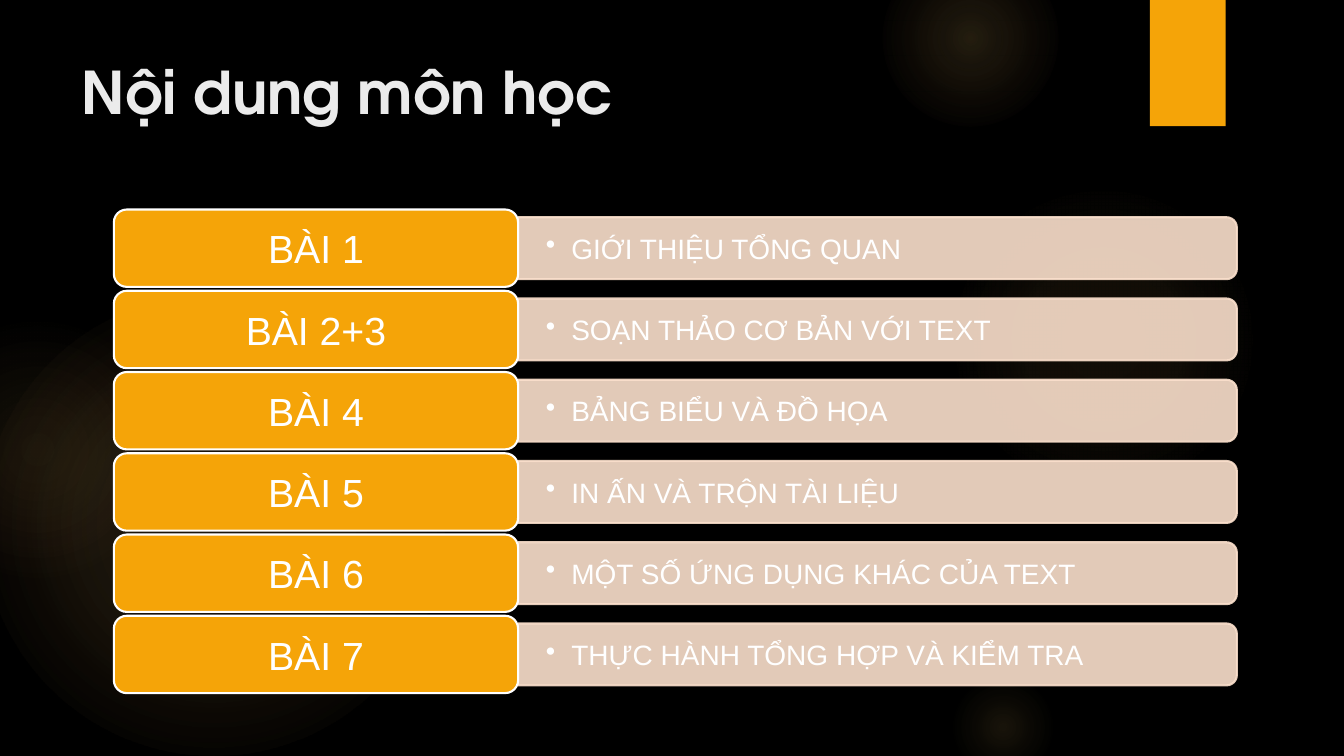
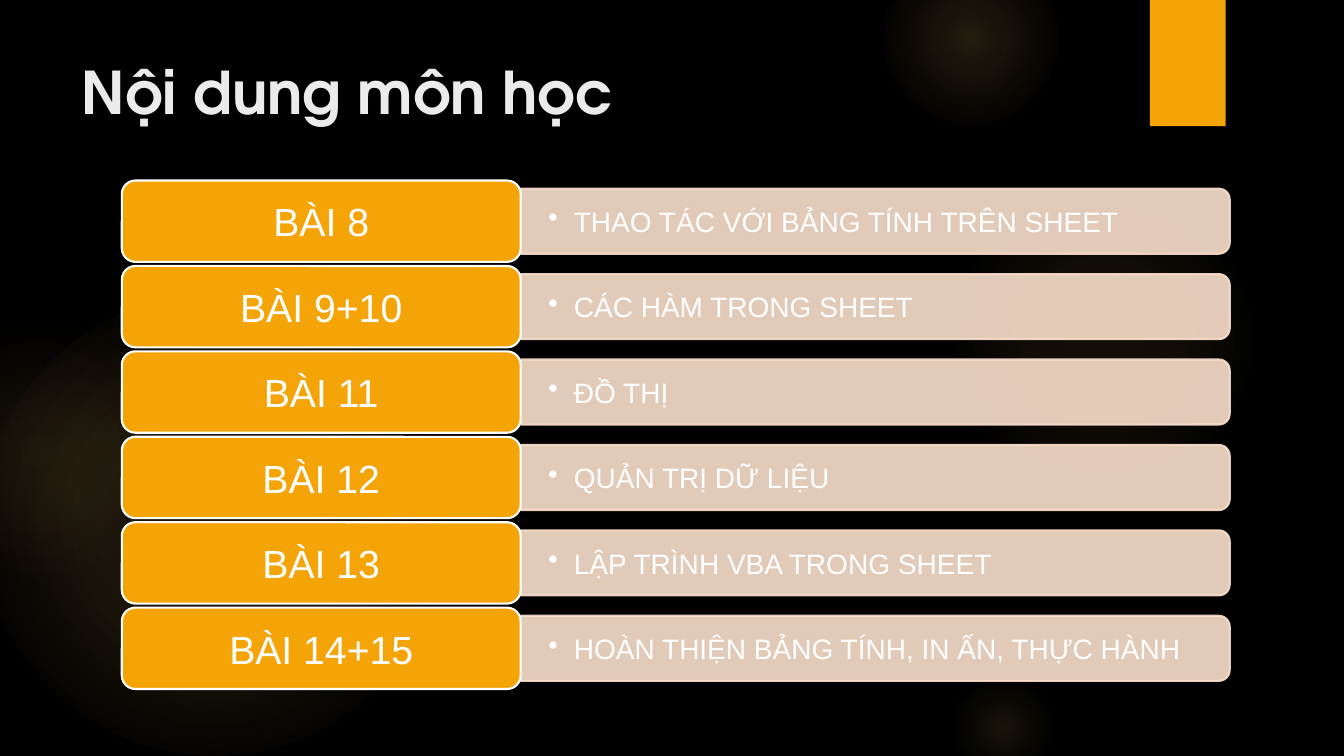
from pptx import Presentation
from pptx import oxml
from pptx import util as u
from pptx.dml.color import RGBColor
from pptx.enum import shapes, text
from pptx.oxml import ns

COLORS = {
    "background": "000000",
    "accent": "F5A408",
    "bar": "FBE0CC",
    "title": "EBEBEB",
    "white": "FFFFFF",
    "glow": "FAC96A",
    "glow_edge": "F59B74",
}
TITLE_FONT, BODY_FONT = "TeX Gyre Adventor", "Arial"
TITLE_ONLY = 5

# Glows: left, top, diameter (cm), then stops of position %, colour, opacity %
GLOWS = [
    (-0.43, 7.42, 11.63, [(0, "glow", 11), (36, "glow", 10), (75, "glow", 0)]),
    (-2.34, 8.05, 6.55, [(0, "glow", 8), (36, "glow", 5), (71, "glow_edge", 0)]),
    (23.9, 4.65, 7.82, [(0, "glow", 7), (36, "glow", 6), (69, "glow", 0)]),
    (22.23, -1.27, 4.45, [(0, "glow", 14), (36, "glow", 7), (73, "glow", 0)]),
    (23.9, 16.94, 2.74, [(0, "glow", 10), (31, "glow", 5), (66, "glow", 0)]),
]


class Deck:
    """Holds the shared style and the slide being drawn."""

    def __init__(self):
        self.presentation = Presentation()
        self.presentation.slide_width = u.Cm(33.87)
        self.presentation.slide_height = u.Cm(19.05)
        self.layout = self.presentation.slide_layouts[TITLE_ONLY]
        self.slide = None

    def color(self, name):
        return RGBColor.from_string(COLORS[name])

    def new_slide(self, title):
        self.slide = self.presentation.slides.add_slide(self.layout)
        if len(self.presentation.slides) == 1:
            self.decorate_layout()
        self.title(title)

    def decorate_layout(self):
        """Paint the background and ornaments once, on the layout."""
        fill = self.layout.background.fill
        fill.solid()
        fill.fore_color.rgb = self.color("background")
        for placeholder in list(self.layout.placeholders):
            if placeholder.placeholder_format.idx != 0:
                self.layout.shapes.element.remove(placeholder.element)
        ornaments = [self.glow(*glow) for glow in GLOWS]
        ornaments.append(self.box(shapes.MSO_SHAPE.RECTANGLE, 28.98, 0, 1.91, 3.18, "accent"))
        for position, ornament in enumerate(ornaments, start=2):
            self.layout.shapes.element.insert(position, ornament.element)

    def title(self, wording):
        shape = self.slide.shapes.title
        shape.left, shape.top = u.Cm(1.8), u.Cm(1.27)
        shape.width, shape.height = u.Cm(26.14), u.Cm(3.89)
        shape.text_frame.auto_size = text.MSO_AUTO_SIZE.NONE
        shape.text_frame.vertical_anchor = text.MSO_ANCHOR.TOP
        paragraph = self.set_text(shape, wording, TITLE_FONT, 42, "title", text.PP_ALIGN.LEFT)
        paragraph.font.bold = True

    def box(self, kind, left, top, width, height, fill, line=None):
        shape = self.slide.shapes.add_shape(
            kind, u.Cm(left), u.Cm(top), u.Cm(width), u.Cm(height))
        shape.shadow.inherit = False
        shape.fill.solid()
        shape.fill.fore_color.rgb = self.color(fill)
        if line:
            shape.line.color.rgb = self.color(line)
            shape.line.width = u.Pt(1.5)
        else:
            shape.line.fill.background()
        return shape

    def glow(self, left, top, diameter, stops):
        shape = self.box(shapes.MSO_SHAPE.OVAL, left, top, diameter, diameter, "glow")
        stop_xml = "".join(
            f'<a:gs pos="{position * 1000}"><a:srgbClr val="{COLORS[name]}">'
            f'<a:alpha val="{opacity * 1000}"/></a:srgbClr></a:gs>'
            for position, name, opacity in stops)
        gradient = oxml.parse_xml(
            f'<a:gradFill {ns.nsdecls("a")}><a:gsLst>{stop_xml}</a:gsLst><a:path path="circle">'
            '<a:fillToRect l="50000" t="50000" r="50000" b="50000"/></a:path></a:gradFill>')
        properties = shape.element.spPr
        properties.replace(properties.find(ns.qn("a:solidFill")), gradient)
        return shape

    def set_text(self, shape, wording, font, size, color, align, bullet=False):
        shape.text_frame.text = wording
        paragraph = shape.text_frame.paragraphs[0]
        paragraph.alignment = align
        if bullet:
            properties = paragraph._p.get_or_add_pPr()
            properties.set("marL", str(u.Cm(0.64)))
            properties.set("indent", str(-u.Cm(0.64)))
            properties.append(oxml.parse_xml(f'<a:buChar {ns.nsdecls("a")} char="•"/>'))
        paragraph.font.name = font
        paragraph.font.size = u.Pt(size)
        paragraph.font.color.rgb = self.color(color)
        return paragraph

    def bar(self, left, top, width, height, wording):
        """Translucent bar with rounded right corners and a bullet line."""
        # The preset rounds its top corners, so it is turned a quarter
        shape = self.box(shapes.MSO_SHAPE.ROUND_2_SAME_RECTANGLE,
                         left + (width - height) / 2, top + (height - width) / 2,
                         height, width, "bar", "bar")
        shape.rotation = 90
        for color in shape.element.spPr.iter(ns.qn("a:srgbClr")):
            color.append(oxml.parse_xml(f'<a:alpha {ns.nsdecls("a")} val="90000"/>'))
        caption = self.slide.shapes.add_textbox(
            u.Cm(left), u.Cm(top), u.Cm(width), u.Cm(height))
        frame = caption.text_frame
        frame.word_wrap = True
        frame.vertical_anchor = text.MSO_ANCHOR.MIDDLE
        frame.margin_left = frame.margin_right = u.Cm(0.7)
        self.set_text(caption, wording, BODY_FONT, 20, "white", text.PP_ALIGN.LEFT, bullet=True)

    def label(self, left, top, width, height, wording):
        shape = self.box(shapes.MSO_SHAPE.ROUNDED_RECTANGLE,
                         left, top, width, height, "accent", "white")
        shape.text_frame.vertical_anchor = text.MSO_ANCHOR.MIDDLE
        self.set_text(shape, wording, BODY_FONT, 28, "white", text.PP_ALIGN.CENTER)

    def lesson_list(self, left, top, width, row_height, lessons):
        """Labels take 36 % of the width; bars are 80 % as high as labels."""
        label_width = 0.36 * width
        bar_height = 0.8 * row_height
        for index, (lesson, topic) in enumerate(lessons):
            row_top = top + index * 1.05 * row_height
            self.bar(left + label_width, row_top + 0.1 * row_height,
                     width - label_width, bar_height, topic)
            self.label(left, row_top, label_width, row_height, lesson)


def main():
    deck = Deck()

    # Word processing lessons
    deck.new_slide("Nội dung môn học")
    deck.lesson_list(2.87, 5.28, 28.3, 1.95, [
        ("BÀI 1", "GIỚI THIỆU TỔNG QUAN"),
        ("BÀI 2+3", "SOẠN THẢO CƠ BẢN VỚI TEXT"),
        ("BÀI 4", "BẢNG BIỂU VÀ ĐỒ HỌA"),
        ("BÀI 5", "IN ẤN VÀ TRỘN TÀI LIỆU"),
        ("BÀI 6", "MỘT SỐ ỨNG DỤNG KHÁC CỦA TEXT"),
        ("BÀI 7", "THỰC HÀNH TỔNG HỢP VÀ KIỂM TRA"),
    ])

    # Spreadsheet lessons
    deck.new_slide("Nội dung môn học")
    deck.lesson_list(3.07, 4.55, 27.92, 2.05, [
        ("BÀI 8", "THAO TÁC VỚI BẢNG TÍNH TRÊN SHEET"),
        ("BÀI 9+10", "CÁC HÀM TRONG SHEET"),
        ("BÀI 11", "ĐỒ THỊ"),
        ("BÀI 12", "QUẢN TRỊ DỮ LIỆU"),
        ("BÀI 13", "LẬP TRÌNH VBA TRONG SHEET"),
        ("BÀI 14+15", "HOÀN THIỆN BẢNG TÍNH, IN ẤN, THỰC HÀNH"),
    ])

    deck.presentation.save("out.pptx")


if __name__ == "__main__":
    main()
